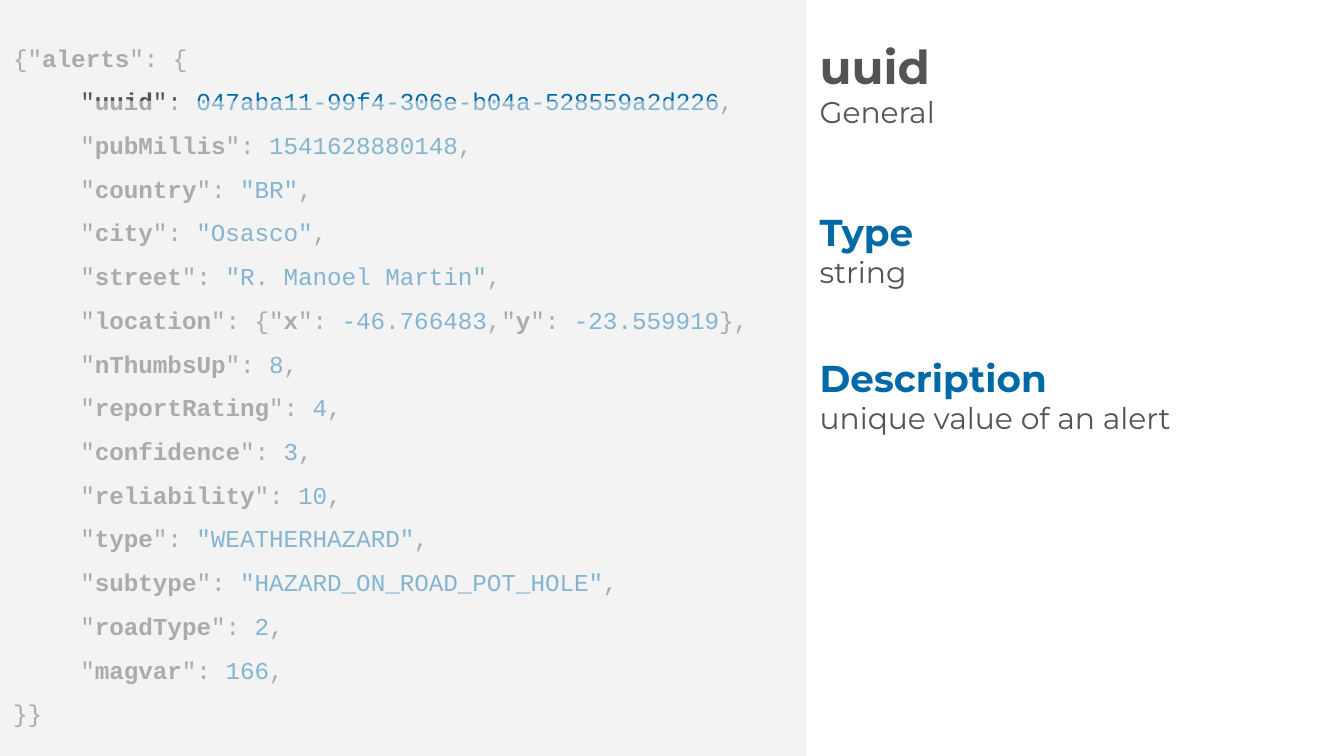
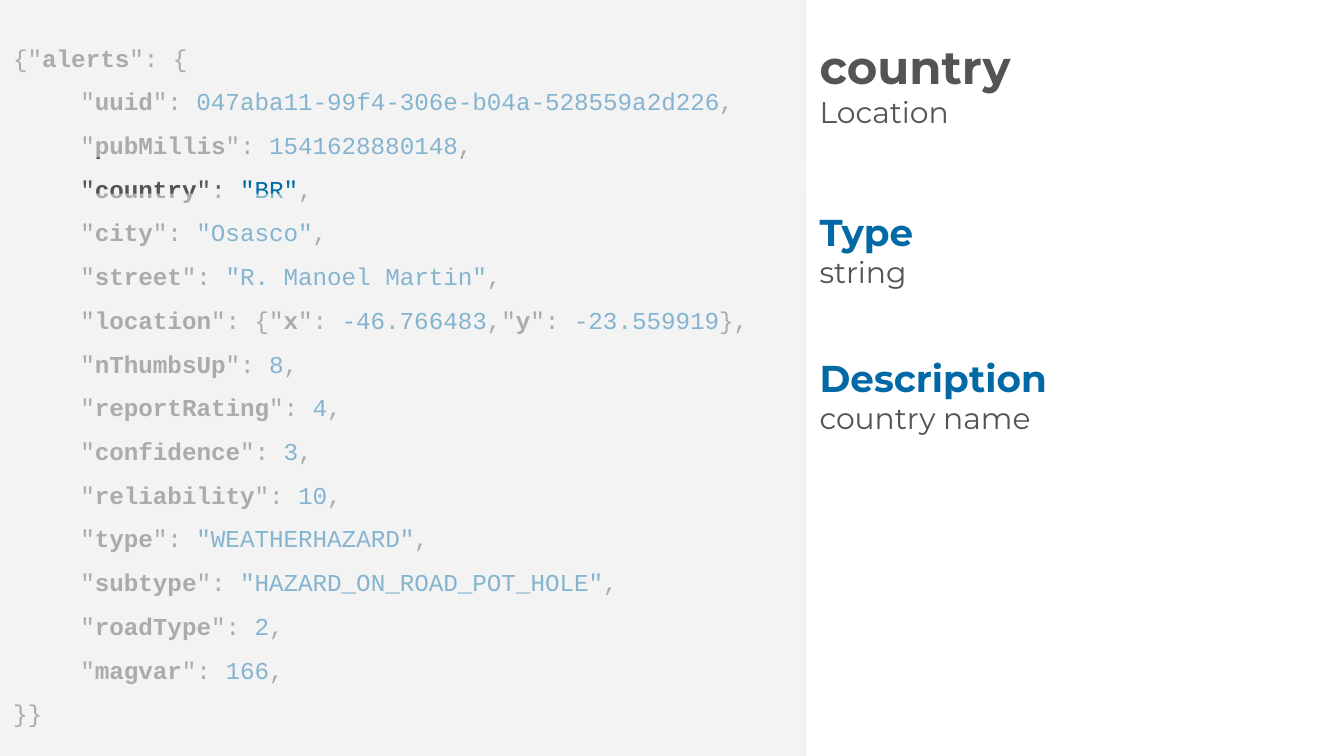
from typing import NamedTuple

from lxml import etree
from pptx import Presentation
from pptx.dml.color import RGBColor
from pptx.enum.shapes import MSO_SHAPE
from pptx.enum.text import MSO_ANCHOR
from pptx.oxml.ns import qn
from pptx.util import Inches, Pt

RECTANGLE = MSO_SHAPE.RECTANGLE
TOP, MIDDLE = MSO_ANCHOR.TOP, MSO_ANCHOR.MIDDLE

CELL = 0.1
COLUMNS, ROWS = 100, 56.25
CODE_COLUMNS = 60
BLANK_LAYOUT = 6

PANEL, INK, ACCENT = "F3F3F3", "545454", "0069A6"
CODE_FONT, TEXT_FONT = "Courier New", "Montserrat"
VEIL_OPACITY = 55

ALERT = {
    "uuid": "047aba11-99f4-306e-b04a-528559a2d226",
    "pubMillis": "1541628880148",
    "country": '"BR"',
    "city": '"Osasco"',
    "street": '"R. Manoel Martin"',
    "location": {"x": "-46.766483", "y": "-23.559919"},
    "nThumbsUp": "8",
    "reportRating": "4",
    "confidence": "3",
    "reliability": "10",
    "type": '"WEATHERHAZARD"',
    "subtype": '"HAZARD_ON_ROAD_POT_HOLE"',
    "roadType": "2",
    "magvar": "166",
}

FIELDS = [
    {"name": "uuid", "group": "General", "type": "string",
     "description": "unique value of an alert",
     "veils": [(-0.7, 6.1), (7.5, 50.5)]},
    {"name": "country", "group": "Location", "type": "string",
     "description": "country name",
     "veils": [(-38.8, 50.5), (14.4, 50.5)]},
]


class Box(NamedTuple):
    """An area measured in grid columns and rows."""
    column: float
    row: float
    columns: float
    rows: float

    def inner(self, column, row, columns, rows):
        """Return an area placed from this box's top left corner."""
        return Box(self.column + column, self.row + row, columns, rows)

    def inches(self):
        """Return left, top, width and height as lengths."""
        return [Inches(length * CELL) for length in self]


def color(value):
    """Turn a hex string into a colour."""
    return RGBColor.from_string(value)


def add_panel(page, box, opacity=100):
    """Add a flat grey rectangle, see-through when opacity is below 100."""
    panel = page.shapes.add_shape(RECTANGLE, *box.inches())
    panel.shadow.inherit = False
    panel.line.fill.background()
    panel.fill.solid()
    panel.fill.fore_color.rgb = color(PANEL)
    if opacity < 100:
        tint = panel._element.spPr.find(qn("a:solidFill")).find(qn("a:srgbClr"))
        etree.SubElement(tint, qn("a:alpha")).set("val", str(opacity * 1000))
    return panel


def prepare_frame(shape, anchor):
    """Set wrapping, anchor and even insets, and return the text frame."""
    frame = shape.text_frame
    frame.word_wrap = True
    frame.vertical_anchor = anchor
    frame.margin_left = frame.margin_right = Inches(CELL)
    frame.margin_top = frame.margin_bottom = Inches(CELL)
    return frame


def add_span(para, text, font, size, fill=INK, bold=False):
    """Append one formatted run to a paragraph."""
    span = para.add_run()
    span.text = text
    span.font.name = font
    span.font.size = Pt(size)
    span.font.bold = bold
    span.font.color.rgb = color(fill)


def member_spans(key, value):
    """Return a JSON member as (text, colour, bold) spans."""
    spans = [('"', INK, False), (key, INK, True)]
    if not isinstance(value, dict):
        return spans + [('": ', INK, False), (value, ACCENT, False)]
    spans.append(('": {', INK, False))
    for index, item in enumerate(value.items()):
        if index:
            spans.append((",", INK, False))
        spans += member_spans(*item)
    return spans + [("}", INK, False)]


def add_code(page, box):
    """Show the alert as JSON on a grey panel."""
    frame = prepare_frame(add_panel(page, box), MIDDLE)
    opening = [('{"', INK, False), ("alerts", INK, True), ('": {', INK, False)]
    members = [member_spans(*item) + [(",", INK, False)] for item in ALERT.items()]
    lines = [opening, *members, [("}}", INK, False)]]
    for index, spans in enumerate(lines):
        para = frame.add_paragraph() if index else frame.paragraphs[0]
        para.line_spacing = 1.5
        properties = para._p.get_or_add_pPr()
        properties.set("algn", "l")
        if spans in members:
            properties.set("marL", str(Inches(0.5)))
            properties.set("indent", "0")
        for text, fill, bold in spans:
            add_span(para, text, CODE_FONT, 13, fill, bold)


def add_text(page, box, lines, anchor=TOP):
    """Add a text box with one (text, size, colour, bold) line a paragraph."""
    frame = prepare_frame(page.shapes.add_textbox(*box.inches()), anchor)
    for index, (text, size, fill, bold) in enumerate(lines):
        para = frame.add_paragraph() if index else frame.paragraphs[0]
        add_span(para, text, TEXT_FONT, size, fill, bold)


def add_details(page, box, field):
    """Place the field's name and group above its type and description."""
    heading = [(field["name"], 25, INK, True), (field["group"], 16, INK, False)]
    add_text(page, box.inner(0, 1.6, box.columns, 9.2), heading, MIDDLE)
    for index, label in enumerate(("Type", "Description")):
        row = 14.6 + index * 10.85
        add_text(page, box.inner(0, row, 19.3, 5), [(label, 20, ACCENT, True)])
        body = [(field[label.lower()], 16, INK, False)]
        add_text(page, box.inner(0, row + 3.3, 36, 8.7), body)


def add_field_page(deck, field):
    """Add a slide that singles out one field of the alert."""
    page = deck.slides.add_slide(deck.slide_layouts[BLANK_LAYOUT])
    code = Box(0, 0, CODE_COLUMNS, ROWS)
    add_code(page, code)
    for row, rows in field["veils"]:
        add_panel(page, code.inner(0, row, code.columns, rows), VEIL_OPACITY)
    add_details(page, Box(CODE_COLUMNS, 0, COLUMNS - CODE_COLUMNS, ROWS), field)


def main():
    """Build and save the deck."""
    deck = Presentation()
    deck.slide_width = Inches(COLUMNS * CELL)
    deck.slide_height = Inches(ROWS * CELL)
    for field in FIELDS:
        add_field_page(deck, field)
    deck.save("out.pptx")


if __name__ == "__main__":
    main()
